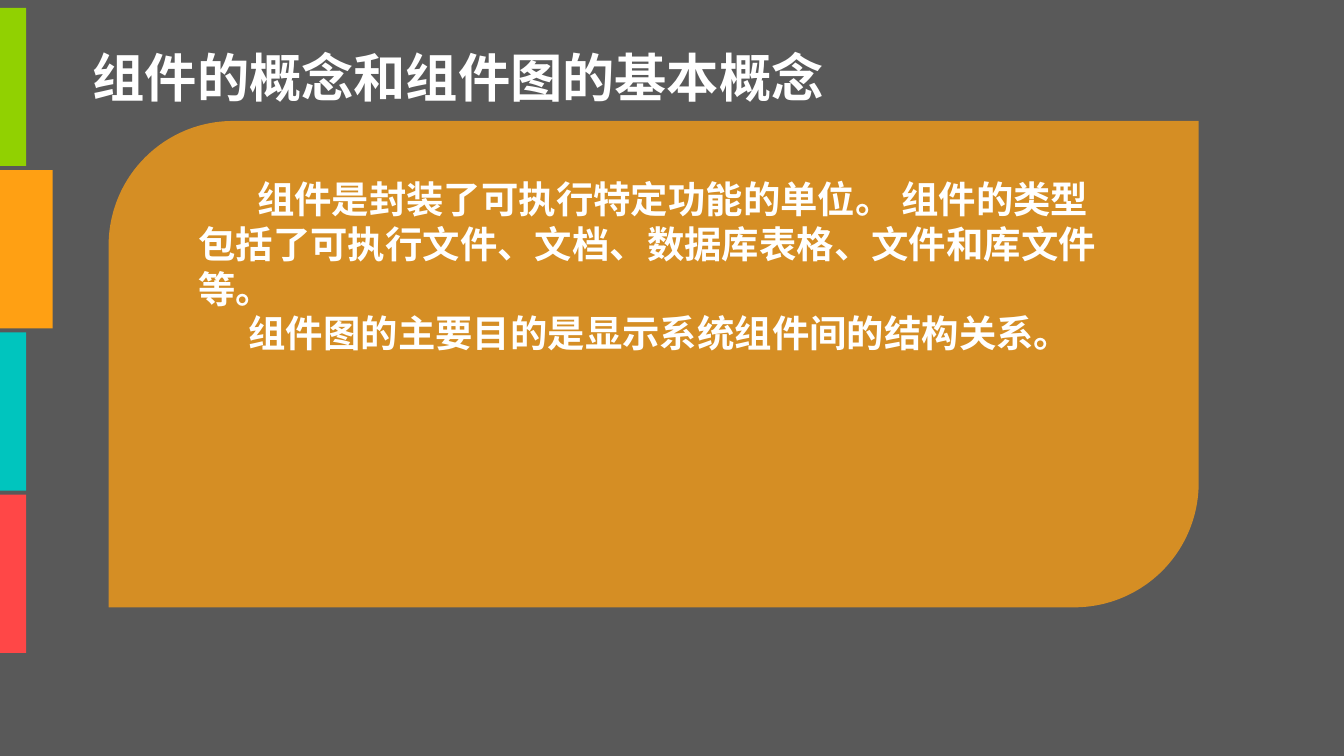
from pptx import Presentation
from pptx.dml.color import RGBColor
from pptx.enum import shapes, text
from pptx.oxml import ns, xmlchemy
from pptx.util import Pt

FONT = "Noto Sans CJK SC"
WHITE = "FFFFFF"
TAB_COLORS = ["91D101", "FFA013", "00C5BE", "FF4747"]
HEADING = "组件的概念和组件图的基本概念"
PARAGRAPHS = [
    ("组件是封装了可执行特定功能的单位。 组件的类型包括了可执行文件、文档、数据库表格、文件和库文件等。", 31.4),
    ("组件图的主要目的是显示系统组件间的结构关系。", 26.9),
]


def color(hex_string):
    return RGBColor.from_string(hex_string)


def write(paragraph, words, size=20, bold=True, fill=WHITE, indent=0):
    paragraph.alignment = text.PP_ALIGN.LEFT
    paragraph.line_spacing = Pt(size * 1.2)
    paragraph.space_before = Pt(0)
    properties = paragraph._p.get_or_add_pPr()
    properties.set("marL", "0")
    properties.set("indent", str(Pt(indent)))
    run = paragraph.add_run()
    run.text = words
    run.font.size = Pt(size)
    run.font.bold = bold
    run.font.color.rgb = color(fill)
    run.font.name = FONT
    east_asian = xmlchemy.OxmlElement("a:ea")
    east_asian.set("typeface", FONT)
    run.font._element.find(ns.qn("a:latin")).addnext(east_asian)


def place(shape, left, top, width, height):
    shape.left, shape.top = Pt(left), Pt(top)
    shape.width, shape.height = Pt(width), Pt(height)


def add_block(slide, kind, left, top, width, height, fill):
    block = slide.shapes.add_shape(kind, Pt(left), Pt(top), Pt(width), Pt(height))
    block.shadow.inherit = False
    block.fill.solid()
    block.fill.fore_color.rgb = color(fill)
    block.line.fill.background()
    return block


def add_tabs(slide, left, top, width, height, gap=2.2):
    tab_height = (height - gap * (len(TAB_COLORS) - 1)) / len(TAB_COLORS)
    for index, fill in enumerate(TAB_COLORS):
        tab_width = width if index == 1 else width / 2
        tab_top = top + index * (tab_height + gap)
        add_block(slide, shapes.MSO_SHAPE.RECTANGLE, left, tab_top, tab_width, tab_height, fill)


def add_title(slide, left, top, width, height):
    title = slide.shapes.title
    place(title, left, top, width, height)
    frame = title.text_frame
    frame.word_wrap = False
    frame.auto_size = text.MSO_AUTO_SIZE.NONE
    frame.vertical_anchor = text.MSO_ANCHOR.TOP
    write(frame.paragraphs[0], HEADING, size=28)


def add_panel(slide, left, top, width, height):
    panel = add_block(slide, shapes.MSO_SHAPE.ROUND_2_DIAG_RECTANGLE,
                      left, top, width, height, "FFA013")
    panel.adjustments[0] = 0.256
    panel.adjustments[1] = 0
    alpha = xmlchemy.OxmlElement("a:alpha")
    alpha.set("val", "75000")
    panel.fill._xPr.find(".//" + ns.qn("a:srgbClr")).append(alpha)

    box = slide.shapes.add_textbox(Pt(left + 41), Pt(top + 26), Pt(502), Pt(104.4))
    frame = box.text_frame
    frame.word_wrap = True
    for index, (words, indent) in enumerate(PARAGRAPHS):
        paragraph = frame.add_paragraph() if index else frame.paragraphs[0]
        write(paragraph, words, indent=indent)


def main():
    presentation = Presentation()
    presentation.slide_width, presentation.slide_height = Pt(720), Pt(405)
    slide = presentation.slides.add_slide(presentation.slide_layouts[5])
    slide.background.fill.solid()
    slide.background.fill.fore_color.rgb = color("595959")
    add_panel(slide, 58.2, 64.8, 584, 260.6)
    add_tabs(slide, 0, 4.2, 28.2, 345.6)
    add_title(slide, 42.5, 20.9, 410.4, 41)
    presentation.save("out.pptx")


if __name__ == "__main__":
    main()
